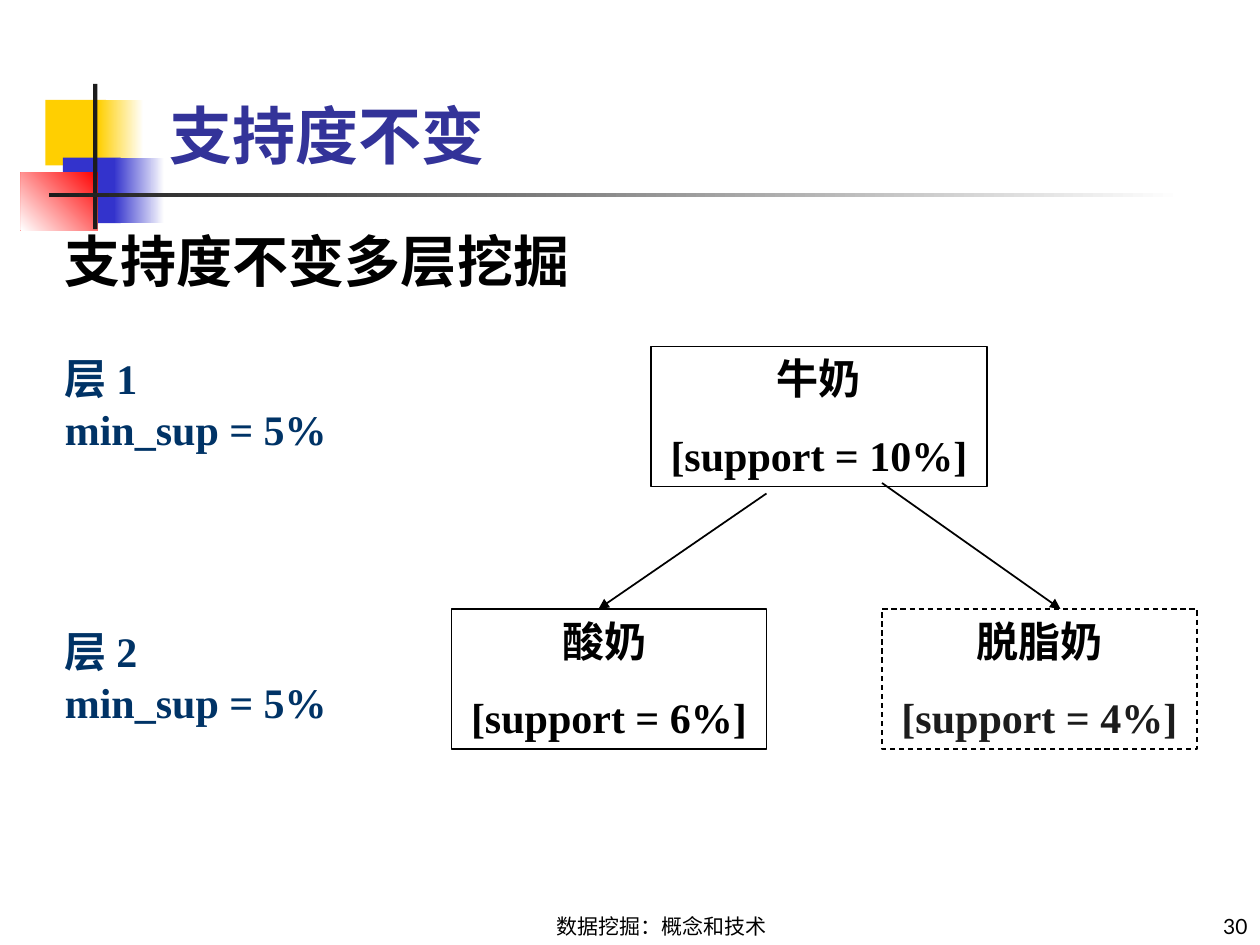
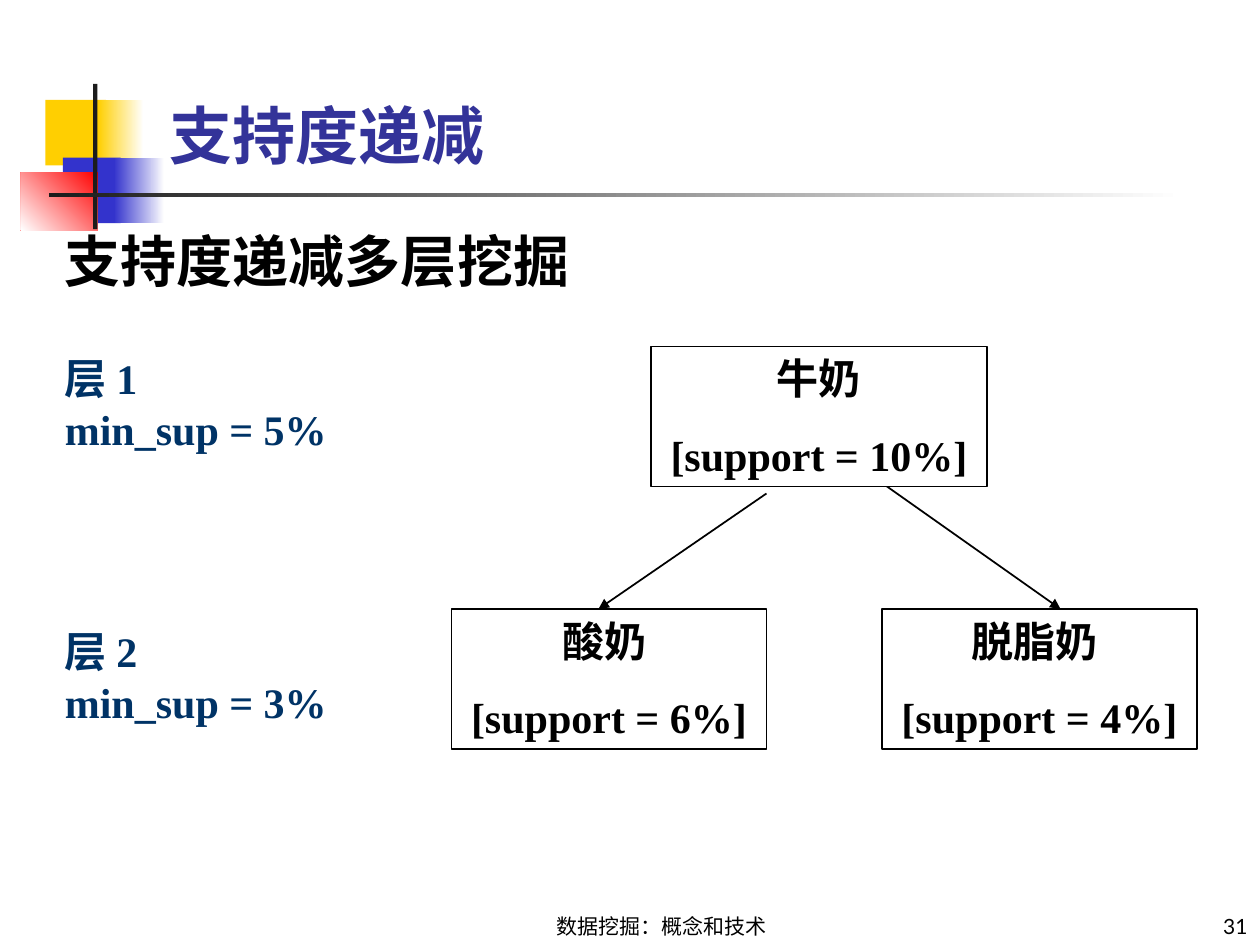
"""Build two slides comparing uniform and reduced support in multi-level mining."""
import dataclasses
import typing

import lxml.etree
import pptx
import pptx.dml.color
import pptx.enum.dml
import pptx.enum.shapes
import pptx.enum.text
import pptx.oxml.ns
import pptx.shapes.base
import pptx.slide
import pptx.text.text
import pptx.util

Pt = pptx.util.Pt
Align = pptx.enum.text.PP_ALIGN
Anchor = pptx.enum.text.MSO_ANCHOR
AutoSize = pptx.enum.text.MSO_AUTO_SIZE
qn = pptx.oxml.ns.qn


@dataclasses.dataclass(frozen=True)
class Theme:
    black: str = "000000"
    white: str = "FFFFFF"
    ink: str = "1C1C1C"
    yellow: str = "FFCF01"
    blue: str = "3333CC"
    red: str = "FF0000"
    title: str = "333399"
    level: str = "003366"
    sans: str = "Lato"
    serif: str = "Times New Roman"
    title_size: float = 36
    heading_size: float = 32
    body_size: float = 24
    footer_size: float = 12
    box_line: float = 0.75
    arrow_line: float = 1


THEME = Theme()


class Box(typing.NamedTuple):
    left: float
    top: float
    width: float
    height: float


class Style(typing.NamedTuple):
    font: str
    size: float
    color: str
    bold: bool = True
    align: Align = Align.LEFT
    anchor: Anchor = Anchor.TOP
    gap: float = 0
    hanging: float = 0
    wrap: bool = True
    grow: bool = False


class Band(typing.NamedTuple):
    box: Box
    start: str
    end: str | None = None
    angle: float = 180


class Node(typing.NamedTuple):
    box: Box
    name: str
    support: str
    support_color: str = THEME.black
    dashed: bool = False


class Arrow(typing.NamedTuple):
    x1: float
    y1: float
    x2: float
    y2: float


class SupportSlide(typing.NamedTuple):
    title: str
    level_supports: tuple[str, ...]
    root: Node
    children: tuple[Node, ...]
    number: int
    root_on_top: bool = False


TITLE = Style(THEME.sans, THEME.title_size, THEME.title, anchor=Anchor.BOTTOM)
HEADING = Style(THEME.sans, THEME.heading_size, THEME.black, hanging=27)
NODE = Style(THEME.serif, THEME.body_size, THEME.black, align=Align.CENTER, gap=15, grow=True)
LEVEL = Style(THEME.serif, THEME.body_size, THEME.level, wrap=False, grow=True)
FOOTER = Style(THEME.sans, THEME.footer_size, THEME.black, False, Align.CENTER, Anchor.BOTTOM)
NUMBER = FOOTER._replace(align=Align.RIGHT)

BANDS = (
    Band(Box(26, 57, 34.5, 37.5), THEME.yellow),
    Band(Box(56, 57, 26, 37.5), THEME.white, THEME.yellow),
    Band(Box(36, 90, 33, 37.5), THEME.blue),
    Band(Box(65, 90, 29, 37.5), THEME.white, THEME.blue),
    Band(Box(12, 98.5, 44, 33), THEME.red, THEME.white, 225),
    Band(Box(53.25, 48, 2.5, 83), THEME.ink),
    Band(Box(28, 110.25, 648, 2.5), THEME.white, THEME.ink),
)
ARROWS = (Arrow(438, 282, 342, 348), Arrow(504, 276, 606, 348))

LEVEL_TOPS = (198, 354)
ROOT = Node(Box(372, LEVEL_TOPS[0], 192, 80), "牛奶", "[support = 10%]")
YOGURT = Node(Box(258, 348, 180, 80), "酸奶 ", "[support = 6%]")
SKIM = Node(Box(504, 348, 180, 80), "脱脂奶 ", "[support = 4%]")
SKIM_DROPPED = SKIM._replace(name="脱脂奶", support_color=THEME.ink, dashed=True)

SLIDES = (
    SupportSlide("支持度不变", ("5%", "5%"), ROOT, (YOGURT, SKIM_DROPPED), 30),
    SupportSlide("支持度递减", ("5%", "3%"), ROOT, (YOGURT, SKIM), 31, root_on_top=True),
)


def rgb(color: str) -> pptx.dml.color.RGBColor:
    return pptx.dml.color.RGBColor.from_string(color)


def apply(target: object, values: dict[str, object]) -> None:
    for name, value in values.items():
        setattr(target, name, value)


def write(tf: pptx.text.text.TextFrame, lines: typing.Sequence[str], style: Style) -> None:
    apply(tf, {
        "word_wrap": style.wrap,
        "vertical_anchor": style.anchor,
        "auto_size": AutoSize.SHAPE_TO_FIT_TEXT if style.grow else AutoSize.NONE,
    })
    for i, line in enumerate(lines):
        p = tf.add_paragraph() if i else tf.paragraphs[0]
        p.alignment = style.align
        if i and style.gap:
            p.space_before = Pt(style.gap)
        if style.hanging:
            pPr = p._p.get_or_add_pPr()
            pPr.set("marL", str(Pt(style.hanging)))
            pPr.set("indent", str(-Pt(style.hanging)))
        r = p.add_run()
        r.text = line
        apply(r.font, {"name": style.font, "size": Pt(style.size), "bold": style.bold})
        r.font.color.rgb = rgb(style.color)


def add_text(slide: pptx.slide.Slide, box: Box, lines: typing.Sequence[str], style: Style) -> None:
    write(slide.shapes.add_textbox(*map(Pt, box)).text_frame, lines, style)


def add_rect(slide: pptx.slide.Slide, box: Box, color: str) -> pptx.shapes.base.BaseShape:
    sp = slide.shapes.add_shape(pptx.enum.shapes.MSO_SHAPE.RECTANGLE, *map(Pt, box))
    sp.shadow.inherit = False
    sp.fill.solid()
    sp.fill.fore_color.rgb = rgb(color)
    return sp


def add_band(slide: pptx.slide.Slide, band: Band) -> None:
    sp = add_rect(slide, band.box, band.start)
    sp.line.fill.background()
    if band.end:
        sp.fill.gradient()
        sp.fill.gradient_angle = band.angle
        for stop, position, color in zip(sp.fill.gradient_stops, (0, 1), (band.start, band.end)):
            stop.position = position
            stop.color.rgb = rgb(color)


def add_node(slide: pptx.slide.Slide, node: Node) -> None:
    sp = add_rect(slide, node.box, THEME.white)
    sp.line.color.rgb = rgb(THEME.black)
    sp.line.width = Pt(THEME.box_line)
    if node.dashed:
        sp.line.dash_style = pptx.enum.dml.MSO_LINE.DASH
        color = sp._element.spPr.find(qn("a:solidFill"))[0]
        lxml.etree.SubElement(color, qn("a:alpha")).set("val", "50000")
    write(sp.text_frame, (node.name, node.support), NODE)
    sp.text_frame.paragraphs[1].runs[0].font.color.rgb = rgb(node.support_color)


def add_arrow(slide: pptx.slide.Slide, arrow: Arrow) -> None:
    line = slide.shapes.add_connector(pptx.enum.shapes.MSO_CONNECTOR.STRAIGHT, *map(Pt, arrow))
    line.line.color.rgb = rgb(THEME.black)
    line.line.width = Pt(THEME.arrow_line)
    spPr = line._element.spPr
    lxml.etree.SubElement(spPr.find(qn("a:ln")), qn("a:tailEnd")).set("type", "triangle")
    lxml.etree.SubElement(spPr, qn("a:effectLst"))


def add_frame(slide: pptx.slide.Slide, title: str, number: int) -> None:
    for band in BANDS:
        add_band(slide, band)
    add_text(slide, Box(90, 54, 613.5, 48), [title], TITLE)
    add_text(slide, Box(264, 510, 228, 30), ["数据挖掘：概念和技术"], FOOTER)
    add_text(slide, Box(570, 510, 150, 30), [str(number)], NUMBER)


def build_slide(prs: pptx.presentation.Presentation, content: SupportSlide) -> None:
    slide = prs.slides.add_slide(prs.slide_layouts[6])
    add_frame(slide, content.title, content.number)
    add_text(slide, Box(30, 126, 660, 78), [content.title + "多层挖掘"], HEADING)
    if not content.root_on_top:
        add_node(slide, content.root)
    for node in content.children:
        add_node(slide, node)
    for arrow in ARROWS:
        add_arrow(slide, arrow)
    for i, (top, support) in enumerate(zip(LEVEL_TOPS, content.level_supports), start=1):
        add_text(slide, Box(30, top, 164, 65), (f"层 {i}", f"min_sup = {support}"), LEVEL)
    if content.root_on_top:
        add_node(slide, content.root)


def main() -> None:
    prs = pptx.Presentation()
    apply(prs, {"slide_width": Pt(720), "slide_height": Pt(540)})
    for content in SLIDES:
        build_slide(prs, content)
    prs.save("out.pptx")


if __name__ == "__main__":
    main()
